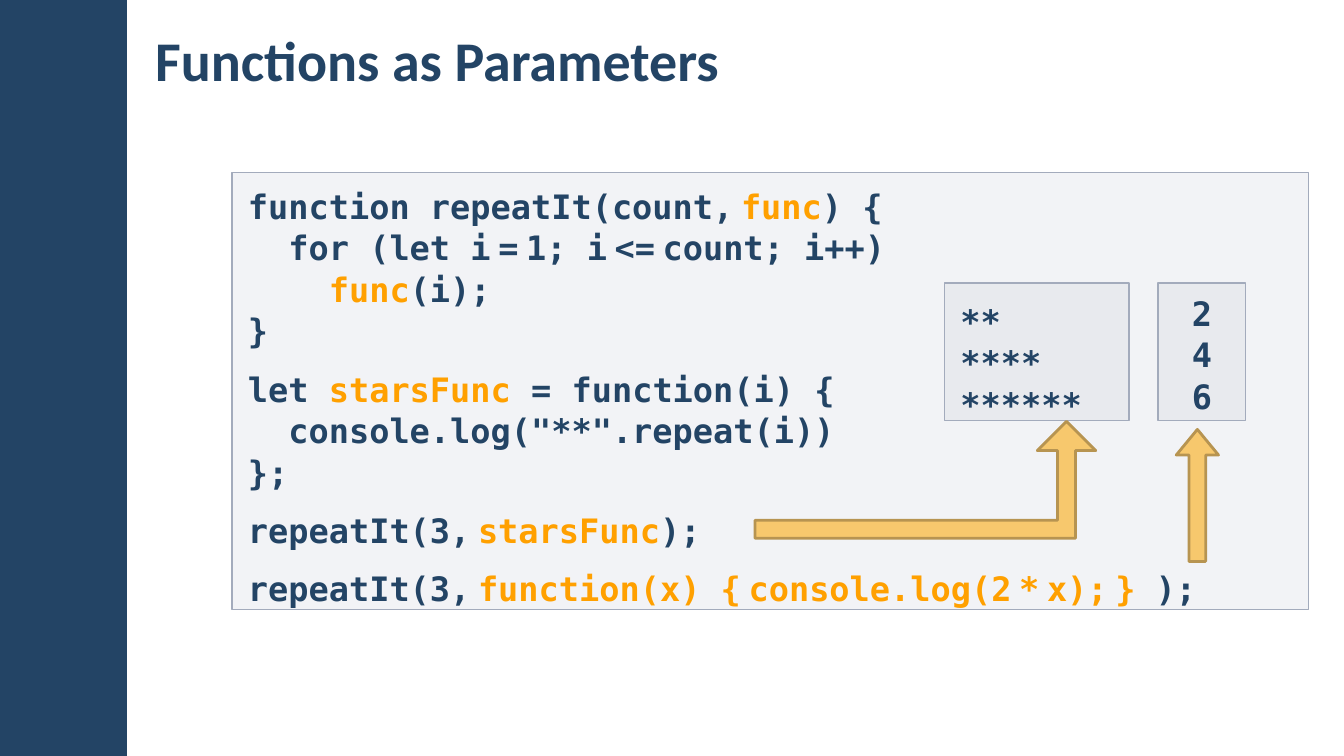
from lxml import etree
from pptx import Presentation
from pptx import util as u
from pptx.dml import color
from pptx.enum import shapes, text
from pptx.oxml import ns

NAVY, GOLD, GRAY = "234465", "FFA000", "C2C7D2"
MONO, SANS = "DejaVu Sans Mono", "Calibri"
kind = shapes.MSO_SHAPE


def paint(fmt, tone):
    fmt.rgb = color.RGBColor.from_string(tone)


def shape(form, box, fill, edge=None, width=1):
    item = page.shapes.add_shape(form, *[u.Pt(n) for n in box])
    item.shadow.inherit = False
    item.fill.solid()
    paint(item.fill.fore_color, fill)
    if edge:
        paint(item.line.color, edge)
        item.line.width = u.Pt(width)
    else:
        item.line.fill.background()
    return item


deck = Presentation()
deck.slide_width, deck.slide_height = u.Pt(960), u.Pt(540)
page = deck.slides.add_slide(deck.slide_layouts[5])

# Side band
shape(kind.RECTANGLE, (0, 0, 90.7, 540), NAVY)

# Title
title = page.shapes.title
title.left, title.top = u.Pt(102.2), u.Pt(7.9)
title.width, title.height = u.Pt(661.7), u.Pt(69.1)
frame = title.text_frame
frame.margin_left = frame.margin_right = u.Pt(8.64)
frame.margin_top = frame.margin_bottom = u.Pt(2.88)
frame.vertical_anchor = text.MSO_ANCHOR.MIDDLE
para = frame.paragraphs[0]
para.alignment = text.PP_ALIGN.LEFT
run = para.add_run()
run.text = "Functions as Parameters"
run.font.name, run.font.size, run.font.bold = SANS, u.Pt(40), True
paint(run.font.color, NAVY)

# Code and its output: "|" switches between navy and gold,
# "·" is a narrow space, and "^" opens a new block
code = [
    "function repeatIt(count,·|func|) {",
    "  for (let i·=·1; i·<=·count; i++)",
    "    |func|(i);",
    "}",
    "^let |starsFunc| = function(i) {",
    '  console.log("**".repeat(i))',
    "};",
    "^repeatIt(3,·|starsFunc|);",
    "^repeatIt(3,·|function(x) {·console.log(2·*·x);·} |);",
]
stars = ["*" * (2 * n) for n in (1, 2, 3)]
twice = [str(2 * n) for n in (1, 2, 3)]
left, mid = text.PP_ALIGN.LEFT, text.PP_ALIGN.CENTER
panels = [
    ((165.6, 123.1, 769, 312.5), code, left, 8.64, 8.64),
    ((674.6, 202.3, 131.8, 97.9), stars, left, 11.52, 0),
    ((827.3, 202.3, 62.6, 97.9), twice, mid, 5.76, 5.76),
]
for box, lines, side, top, base in panels:
    panel = shape(kind.RECTANGLE, box, GRAY, "A3ABBC")
    tone = panel.fill._xPr.find(".//" + ns.qn("a:srgbClr"))
    etree.SubElement(tone, ns.qn("a:alpha"), val="20000")
    frame = panel.text_frame
    frame.word_wrap = True
    frame.vertical_anchor = text.MSO_ANCHOR.TOP
    frame.margin_left = frame.margin_right = u.Pt(11.52)
    frame.margin_top, frame.margin_bottom = u.Pt(top), u.Pt(base)
    for row, line in enumerate(lines):
        para = frame.add_paragraph() if row else frame.paragraphs[0]
        para.alignment = side
        para.line_spacing = 1.03
        para.space_before = u.Pt(12 if line.startswith("^") else 0)
        for turn, part in enumerate(line.lstrip("^").split("|")):
            for spot, word in enumerate(part.split("·")):
                for bit, face in ((" " if spot else "", SANS), (word, MONO)):
                    if bit:
                        run = para.add_run()
                        run.text = bit
                        run.font.name, run.font.size = face, u.Pt(24)
                        run.font.bold = True
                        paint(run.font.color, GOLD if turn % 2 else NAVY)

# Arrows from the calls to their output
arrows = [
    (kind.BENT_UP_ARROW, (539.3, 301, 243.4, 83.5), (0.154, 0.25, 0.25)),
    (kind.UP_ARROW, (840.2, 306.7, 30.2, 94.3), (0.393, 0.607)),
]
for form, box, bends in arrows:
    arrow = shape(form, box, "F7C86D", "B79451", 2)
    for spot, bend in enumerate(bends):
        arrow.adjustments[spot] = bend

deck.save("out.pptx")
